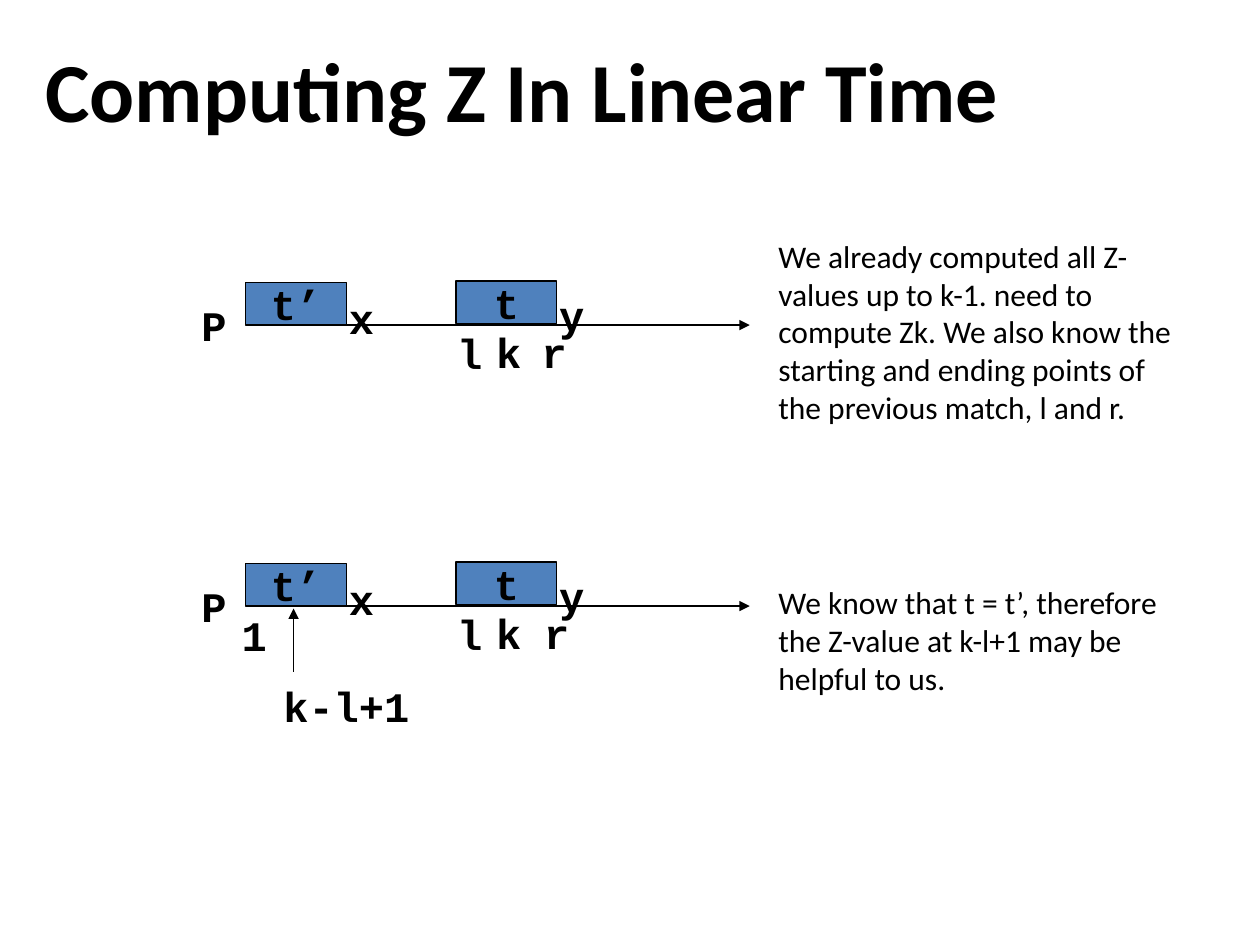
from typing import NamedTuple

from lxml.etree import SubElement
from pptx import Presentation
from pptx.dml.color import RGBColor
from pptx.enum.shapes import MSO_CONNECTOR, MSO_SHAPE
from pptx.enum.text import MSO_ANCHOR, MSO_AUTO_SIZE, PP_ALIGN
from pptx.oxml.ns import qn
from pptx.slide import Slide
from pptx.text.text import TextFrame
from pptx.util import Inches, Pt

COLORS = {"ink": "000000", "block": "4F81BD"}
BODY_FONT = "Calibri"
CODE_FONT = "Courier New"
LABEL_HEIGHT = 0.5
LETTER_WIDTH = 0.4
BLOCK_WIDTH, BLOCK_HEIGHT = 0.8, 0.34
AXIS_LEFT, AXIS_RIGHT = 1.95, 5.95


class Mark(NamedTuple):
    """A text with its left edge and its top relative to the axis."""
    text: str
    left: float
    rise: float


class Note(NamedTuple):
    text: str
    top: float
    height: float


class Diagram(NamedTuple):
    axis: float
    r_left: float
    note: Note


BLOCKS = [Mark("t", 3.62, -0.35), Mark("t’", AXIS_LEFT, -0.34)]
LETTERS = [
    Mark("P", 1.5, -0.25),
    Mark("l", 3.53, -0.03),
    Mark("x", 2.67, -0.31),
    Mark("y", 4.34, -0.33),
    Mark("k", 3.84, -0.04),
]
DIAGRAMS = [
    Diagram(2.58, 4.2, Note(
        "We already computed all Z-values up to k-1. need to compute Zk. "
        "We also know the starting and ending points of the previous match, "
        "l and r.", 1.83, 1.6)),
    Diagram(4.81, 4.22, Note(
        "We know that t = t’, therefore the Z-value at k-l+1 may be "
        "helpful to us.", 4.58, 1)),
]


def color(name: str) -> RGBColor:
    return RGBColor.from_string(COLORS[name])


def write(frame: TextFrame, text: str, font: str, size: float, bold: bool) -> None:
    run = frame.paragraphs[0].add_run()
    run.text = text
    run.font.name = font
    run.font.size = Pt(size)
    run.font.bold = bold
    run.font.color.rgb = color("ink")


def add_text_box(slide: Slide, left: float, top: float, width: float,
                 height: float, wrap: bool) -> TextFrame:
    box = slide.shapes.add_textbox(Inches(left), Inches(top),
                                   Inches(width), Inches(height))
    frame = box.text_frame
    frame.word_wrap = wrap
    frame.auto_size = MSO_AUTO_SIZE.SHAPE_TO_FIT_TEXT
    return frame


def add_title(slide: Slide, text: str) -> None:
    frame = add_text_box(slide, 0.36, 0.28, 9.42, 0.85, wrap=True)
    frame.margin_left = frame.margin_right = 0
    frame.margin_top = frame.margin_bottom = 0
    frame.vertical_anchor = MSO_ANCHOR.MIDDLE
    write(frame, text, BODY_FONT, 48, bold=True)


def add_label(slide: Slide, text: str, left: float, top: float,
              width: float = LETTER_WIDTH) -> None:
    frame = add_text_box(slide, left, top, width, LABEL_HEIGHT, wrap=False)
    write(frame, text, CODE_FONT, 24, bold=True)


def add_note(slide: Slide, note: Note) -> None:
    frame = add_text_box(slide, 6.08, note.top, 3.5, note.height, wrap=True)
    write(frame, note.text, BODY_FONT, 18, bold=False)


def add_block(slide: Slide, text: str, left: float, top: float) -> None:
    shape = slide.shapes.add_shape(
        MSO_SHAPE.RECTANGLE, Inches(left), Inches(top),
        Inches(BLOCK_WIDTH), Inches(BLOCK_HEIGHT))
    shape.shadow.inherit = False
    shape.fill.solid()
    shape.fill.fore_color.rgb = color("block")
    shape.line.color.rgb = color("ink")
    shape.line.width = Pt(0.75)
    frame = shape.text_frame
    frame.word_wrap = False
    frame.vertical_anchor = MSO_ANCHOR.MIDDLE
    frame.paragraphs[0].alignment = PP_ALIGN.CENTER
    write(frame, text, CODE_FONT, 24, bold=True)


def add_arrow(slide: Slide, start: tuple[float, float],
              end: tuple[float, float], width: float) -> None:
    arrow = slide.shapes.add_connector(
        MSO_CONNECTOR.STRAIGHT, Inches(start[0]), Inches(start[1]),
        Inches(end[0]), Inches(end[1]))
    arrow.line.color.rgb = color("ink")
    arrow.line.width = Pt(width)
    SubElement(arrow.line._get_or_add_ln(), qn("a:tailEnd"), type="triangle")
    SubElement(arrow._element.spPr, qn("a:effectLst"))


def add_diagram(slide: Slide, diagram: Diagram) -> None:
    axis = diagram.axis
    add_arrow(slide, (AXIS_LEFT, axis), (AXIS_RIGHT, axis), 1.5)
    for block in BLOCKS:
        add_block(slide, block.text, block.left, axis + block.rise)
    for letter in [*LETTERS, Mark("r", diagram.r_left, -0.04)]:
        add_label(slide, letter.text, letter.left, axis + letter.rise)
    add_note(slide, diagram.note)


def main() -> None:
    presentation = Presentation()
    presentation.slide_width = Inches(10)
    presentation.slide_height = Inches(7.5)
    slide = presentation.slides.add_slide(presentation.slide_layouts[6])

    add_title(slide, "Computing Z In Linear Time")
    for diagram in DIAGRAMS:
        add_diagram(slide, diagram)

    add_label(slide, "1", 1.82, 4.79)
    add_label(slide, "k-l+1", 2.15, 5.35, width=1.21)
    add_arrow(slide, (2.33, 5.33), (2.33, 4.83), 0.75)

    presentation.save("out.pptx")


if __name__ == "__main__":
    main()
